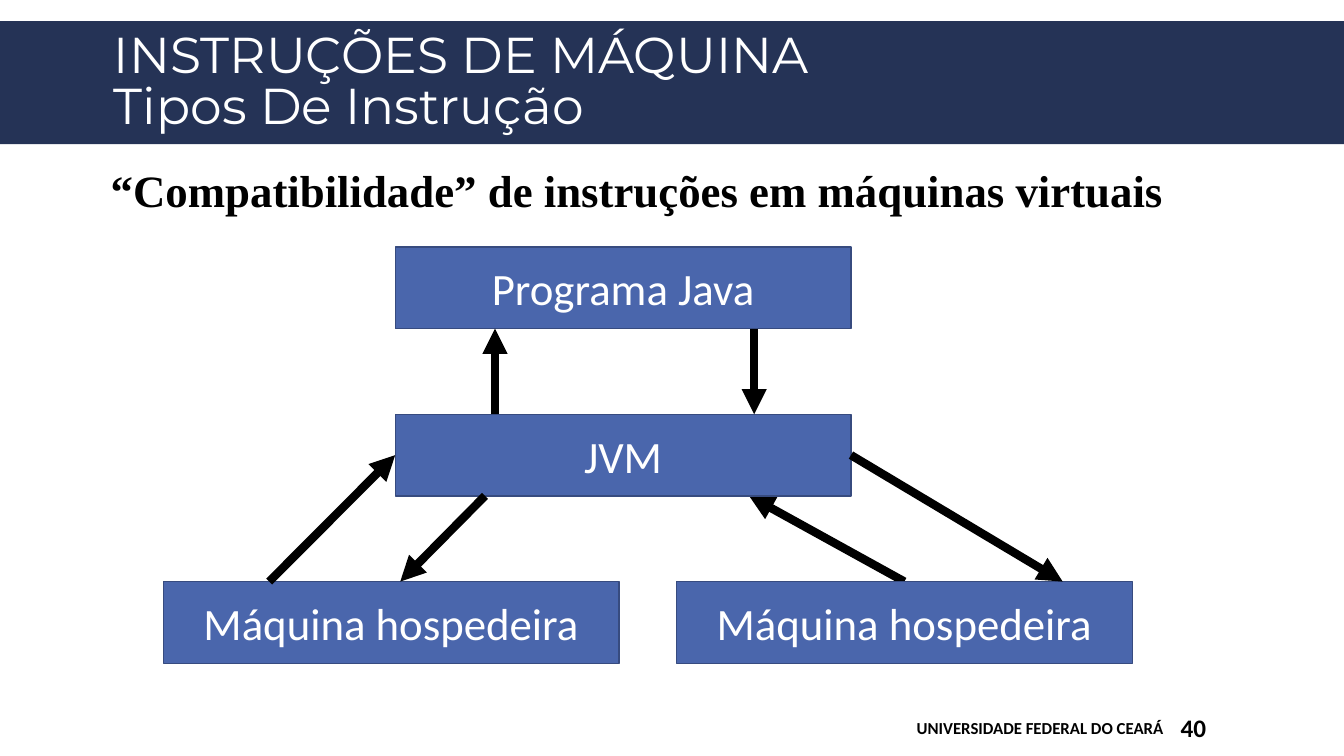
from dataclasses import dataclass

from lxml import etree
from pptx import Presentation
from pptx.dml.color import RGBColor
from pptx.enum.shapes import MSO_CONNECTOR, MSO_SHAPE
from pptx.enum.text import MSO_ANCHOR, MSO_AUTO_SIZE, PP_ALIGN
from pptx.oxml.ns import qn
from pptx.util import Inches, Pt


@dataclass(frozen=True)
class Theme:
    navy: str = "253356"
    blue: str = "4A66AC"
    edge: str = "374B7F"
    black: str = "000000"
    white: str = "FFFFFF"
    title: int = 36
    body: int = 32
    number: int = 18
    footer: int = 12


theme = Theme()


def write(shape, lines, size, color, face="Calibri", bold=False,
          align=PP_ALIGN.LEFT, anchor=MSO_ANCHOR.MIDDLE, spacing=None):
    """Fill the first paragraph with runs separated by line breaks."""
    frame = shape.text_frame
    frame.word_wrap = True
    frame.auto_size = MSO_AUTO_SIZE.NONE
    frame.vertical_anchor = anchor
    para = frame.paragraphs[0]
    para.alignment = align
    para.space_before = Pt(0)
    para.line_spacing = spacing
    for index, line in enumerate(lines):
        if index:
            para.add_line_break()
        span = para.add_run()
        span.text = line
        span.font.name = face
        span.font.size = Pt(size)
        span.font.bold = bold
        span.font.color.rgb = RGBColor.from_string(color)


def add_arrow(x1, y1, x2, y2):
    arrow = page.shapes.add_connector(
        MSO_CONNECTOR.STRAIGHT, Inches(x1), Inches(y1), Inches(x2), Inches(y2))
    arrow.line.width = Pt(6)
    arrow.line.color.rgb = RGBColor.from_string(theme.black)
    etree.SubElement(arrow.line._get_or_add_ln(), qn("a:tailEnd"), type="triangle")
    etree.SubElement(arrow._element.spPr, qn("a:effectLst"))
    return arrow


deck = Presentation()
deck.slide_width, deck.slide_height = Inches(13.33), Inches(7.5)
page = deck.slides.add_slide(deck.slide_layouts[5])

# Title on its band
band = page.shapes.add_shape(
    MSO_SHAPE.RECTANGLE, 0, Inches(0.21), deck.slide_width, Inches(1.22))
band.shadow.inherit = False
band.fill.solid()
band.fill.fore_color.rgb = RGBColor.from_string(theme.navy)
band.line.fill.background()
title = page.shapes.title
title._element.addprevious(band._element)
title.left, title.top = Inches(1.03), Inches(0.25)
title.width, title.height = Inches(11.33), Inches(1.16)
write(title, ["INSTRUÇÕES DE MÁQUINA", "Tipos De Instrução"],
      theme.title, theme.white, "Montserrat", spacing=0.85)

# Heading and footer
heading = page.shapes.add_textbox(Inches(1), Inches(1.63), Inches(11.33), Inches(0.6))
write(heading, ["“Compatibilidade” de instruções em máquinas virtuais"],
      theme.body, theme.black, "Times New Roman", bold=True,
      anchor=MSO_ANCHOR.TOP, spacing=0.9)
footer = page.shapes.add_textbox(Inches(6.12), Inches(7.02), Inches(5.52), Inches(0.4))
write(footer, ["UNIVERSIDADE FEDERAL DO CEARÁ"], theme.footer, theme.black,
      bold=True, align=PP_ALIGN.RIGHT)
number = page.shapes.add_textbox(Inches(11.66), Inches(7.02), Inches(1.03), Inches(0.4))
number.text_frame.margin_left = Inches(0.05)
write(number, ["40"], theme.number, theme.black, bold=True)

# Three levels of boxes with arrows between them
box_width, box_height = 4.52, 0.81
program_top, jvm_top, host_top = 2.45, 4.11, 5.77
program_bottom, jvm_bottom = program_top + box_height, jvm_top + box_height
jvm_left, jvm_middle = 3.92, jvm_top + box_height / 2

add_arrow(8.97, host_top, 7.43, jvm_bottom)  # passes behind the boxes

boxes = []
for label, left, top in [
    ("Programa Java", jvm_left, program_top),
    ("JVM", jvm_left, jvm_top),
    ("Máquina hospedeira", 1.62, host_top),
    ("Máquina hospedeira", 6.71, host_top),
]:
    box = page.shapes.add_shape(MSO_SHAPE.RECTANGLE, Inches(left), Inches(top),
                                Inches(box_width), Inches(box_height))
    box.shadow.inherit = False
    box.fill.solid()
    box.fill.fore_color.rgb = RGBColor.from_string(theme.blue)
    box.line.color.rgb = RGBColor.from_string(theme.edge)
    box.line.width = Pt(1)
    write(box, [label], theme.body, theme.white, align=PP_ALIGN.CENTER)
    boxes.append(box)
jvm = boxes[1]

add_arrow(7.48, program_bottom, 7.48, jvm_top)
add_arrow(4.91, jvm_top, 4.91, program_bottom)
add_arrow(4.81, jvm_bottom, 3.97, host_top)
add_arrow(2.67, host_top, jvm_left, jvm_middle).end_connect(jvm, 1)
add_arrow(jvm_left + box_width, jvm_middle, 10.54, host_top).begin_connect(jvm, 3)

deck.save("out.pptx")
